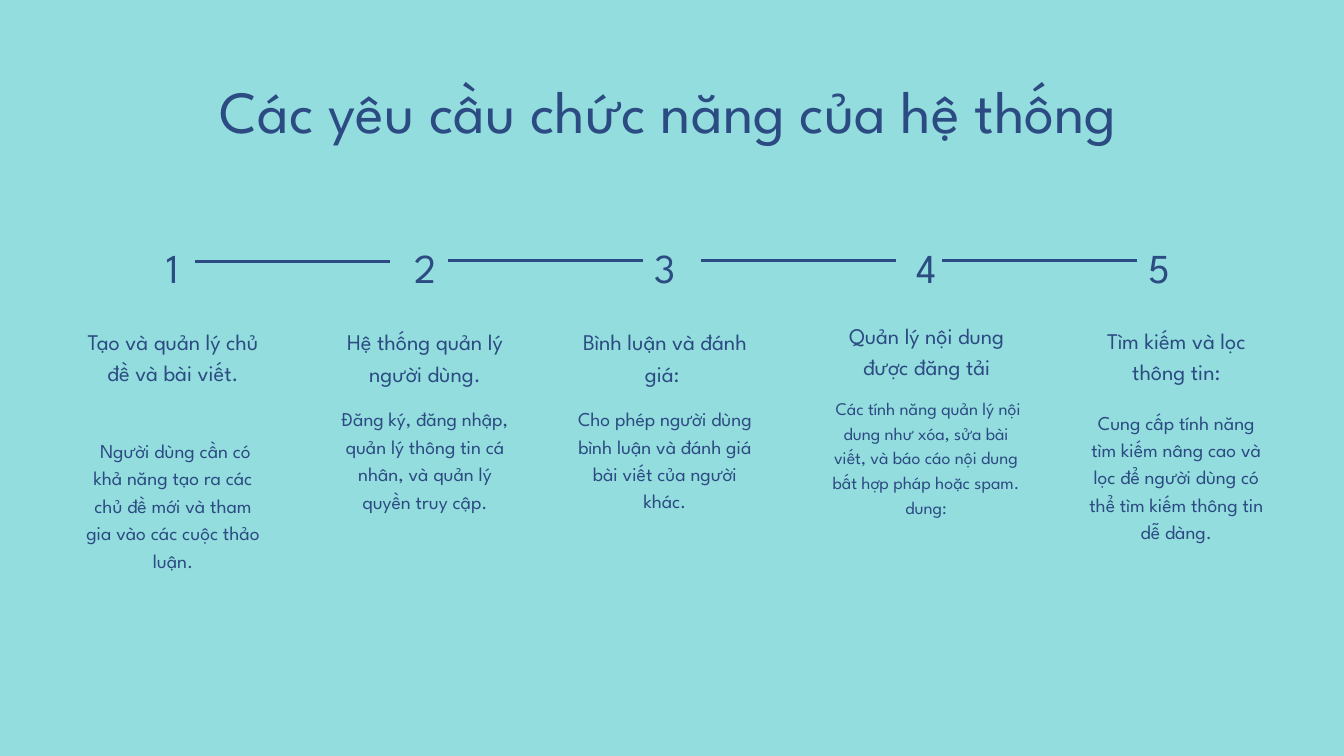
from lxml.etree import SubElement
from pptx import Presentation
from pptx.dml.color import RGBColor
from pptx.enum.shapes import MSO_CONNECTOR
from pptx.enum.text import MSO_ANCHOR, MSO_AUTO_SIZE, PP_ALIGN
from pptx.oxml.ns import qn
from pptx.util import Inches, Pt

COLOURS = {"background": "94DDDE", "ink": "2B4B82"}
FONT = "League Spartan"
FRAME_FORMAT = {
    "margin_left": 0, "margin_right": 0, "margin_top": 0, "margin_bottom": 0,
    "word_wrap": True, "vertical_anchor": MSO_ANCHOR.TOP,
    "auto_size": MSO_AUTO_SIZE.SHAPE_TO_FIT_TEXT,
}
TITLE = "Các yêu cầu chức năng của hệ thống"
NUMBER_LEFTS = [2.24, 6, 9.57, 13.46, 16.92]
LINKS = [(2.9, 3.89), (6.67, 3.88), (10.43, 3.88), (14.02, 3.88)]
LINK_LENGTH = 2.9
REQUIREMENTS = [
    {"heading": "Tạo và quản lý chủ đề và bài viết.",
     "heading_box": (1.23, 4.81, 2.69, 1.37), "heading_size": 24,
     "details": [" Người dùng cần có khả năng tạo ra các chủ đề mới và tham gia "
                 "vào các cuộc thảo luận."],
     "details_box": (1.23, 6.47, 2.69, 2.41), "details_size": 21},
    {"heading": "Hệ thống quản lý người dùng.",
     "heading_box": (5.01, 4.82, 2.63, 0.91), "heading_size": 24,
     "details": ["Đăng ký, đăng nhập, quản lý thông tin cá nhân, và quản lý "
                 "quyền truy cập."],
     "details_box": (5.01, 6, 2.63, 2.41), "details_size": 21},
    {"heading": "Bình luận và đánh giá: ",
     "heading_box": (8.55, 4.82, 2.69, 0.91), "heading_size": 24,
     "details": ["Cho phép người dùng bình luận và đánh giá bài viết của người khác."],
     "details_box": (8.55, 6, 2.69, 2), "details_size": 21},
    {"heading": "Quản lý nội dung được đăng tải",
     "heading_box": (12.33, 4.73, 2.92, 0.93), "heading_size": 23.9,
     "details": [" Các tính năng quản lý nội dung như xóa, sửa bài viết, và báo cáo "
                 "nội dung bất hợp pháp hoặc spam.", "dung:"],
     "details_box": (12.33, 5.86, 2.9, 2.21), "details_size": 19.1},
    {"heading": "Tìm kiếm và lọc thông tin:",
     "heading_box": (16.16, 4.8, 2.69, 0.93), "heading_size": 24,
     "details": ["Cung cấp tính năng tìm kiếm nâng cao và lọc để người dùng có thể "
                 "tìm kiếm thông tin dễ dàng."],
     "details_box": (16.16, 6.05, 2.69, 2.82), "details_size": 21},
]


def set_attributes(target, values):
    """Set each named attribute of the target."""
    for name, value in values.items():
        setattr(target, name, value)


def write_text(holder, lines, size, leading=1.4, tracking=0):
    """Fill a text holder with centred paragraphs in the slide's type style."""
    frame = holder.text_frame
    set_attributes(frame, FRAME_FORMAT)
    for index, line in enumerate(lines):
        paragraph = frame.add_paragraph() if index else frame.paragraphs[0]
        set_attributes(paragraph, {"alignment": PP_ALIGN.CENTER,
                                   "line_spacing": Pt(round(size * leading, 1))})
        run = paragraph.add_run()
        run.text = line
        set_attributes(run.font, {"name": FONT, "size": Pt(size)})
        run.font.color.rgb = RGBColor.from_string(COLOURS["ink"])
        if tracking:
            run.font._element.set("spc", str(round(tracking * 100)))


def add_title(slide):
    """Place and fill the title placeholder."""
    title = slide.shapes.title
    set_attributes(title, {"left": Inches(1.12), "top": Inches(1.1),
                           "width": Inches(17.65), "height": Inches(1.08)})
    write_text(title, [TITLE], 64, leading=1.2)


def add_text(slide, box, lines, size, tracking=0):
    """Add a text box at the given left, top, width and height."""
    holder = slide.shapes.add_textbox(*map(Inches, box))
    write_text(holder, lines, size, tracking=tracking)


def add_link(slide, left, top):
    """Draw a horizontal line between two step numbers."""
    link = slide.shapes.add_connector(
        MSO_CONNECTOR.STRAIGHT, Inches(left), Inches(top),
        Inches(left + LINK_LENGTH), Inches(top))
    link.line.width = Pt(3)
    link.line.color.rgb = RGBColor.from_string(COLOURS["ink"])
    SubElement(link._element.spPr, qn("a:effectLst"))


def add_requirement(slide, requirement):
    """Add the heading and details of one requirement."""
    add_text(slide, requirement["heading_box"], [requirement["heading"]],
             requirement["heading_size"])
    add_text(slide, requirement["details_box"], requirement["details"],
             requirement["details_size"])


def main():
    """Build and save the slide."""
    presentation = Presentation()
    set_attributes(presentation, {"slide_width": Inches(20),
                                  "slide_height": Inches(11.25)})
    slide = presentation.slides.add_slide(presentation.slide_layouts[5])
    background = slide.background.fill
    background.solid()
    background.fore_color.rgb = RGBColor.from_string(COLOURS["background"])
    add_title(slide)
    for number, left in enumerate(NUMBER_LEFTS, start=1):
        add_text(slide, (left, 3.48, 0.66, 0.82), [str(number)], 44, tracking=7.5)
    for left, top in LINKS:
        add_link(slide, left, top)
    for requirement in REQUIREMENTS:
        add_requirement(slide, requirement)
    presentation.save("out.pptx")


if __name__ == "__main__":
    main()
